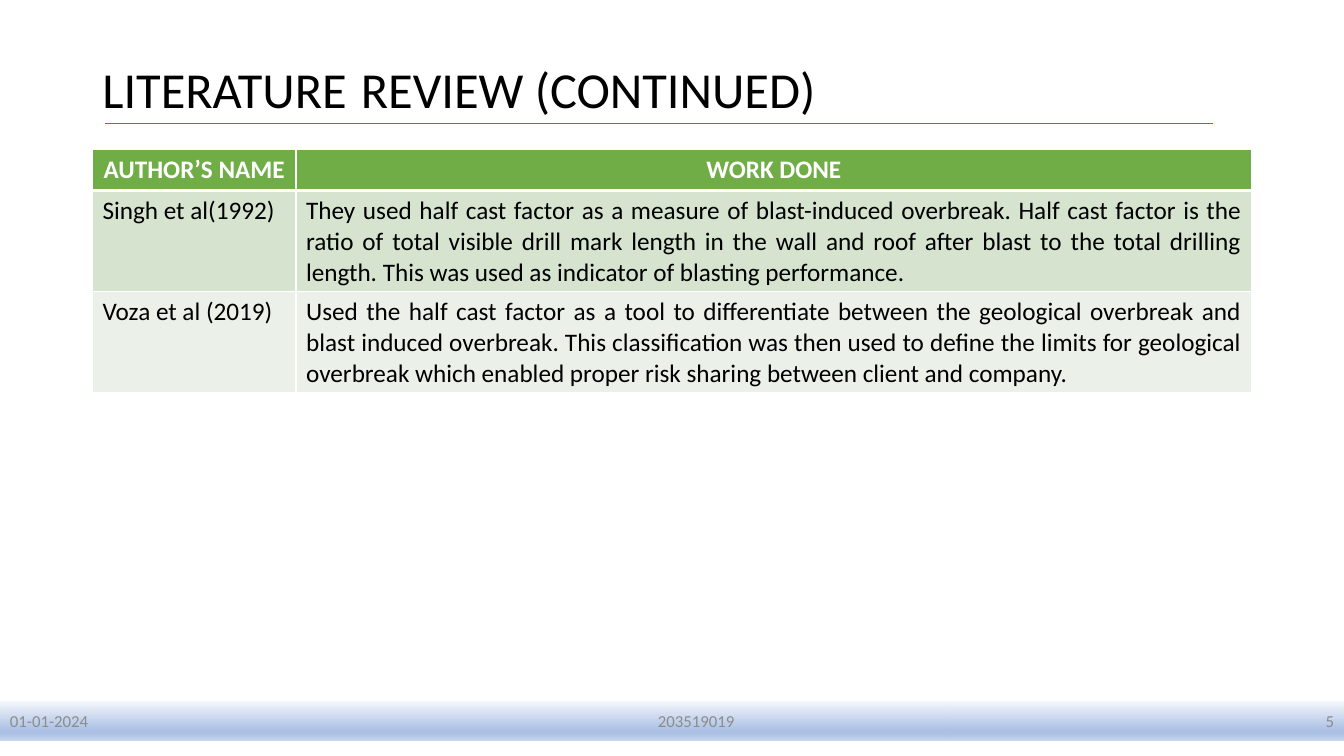
from lxml import etree
from pptx import Presentation, util as u
from pptx.dml.color import RGBColor
from pptx.enum import shapes, text
from pptx.oxml import ns

BLACK = RGBColor(0x00, 0x00, 0x00)
WHITE = RGBColor(0xFF, 0xFF, 0xFF)
GREEN = RGBColor(0x70, 0xAD, 0x47)
BANDS = (RGBColor(0xD5, 0xE3, 0xCF), RGBColor(0xEB, 0xF1, 0xE9))
BLUE = RGBColor(0x44, 0x72, 0xC4)
GREY = RGBColor(0x8C, 0x8C, 0x8C)
FOOTER_STOPS = (
    (0, RGBColor(0xF6, 0xF8, 0xFC)),
    (74, RGBColor(0xAB, 0xC0, 0xE4)),
    (83, RGBColor(0xAB, 0xC0, 0xE4)),
    (100, RGBColor(0xC7, 0xD5, 0xED)),
)
ALIGN = text.PP_ALIGN


class ReviewSlide:
    """Draws styled elements on one slide, with lengths in percent of its size."""

    font = "Calibri"

    def __init__(self, deck):
        self.deck = deck
        self.slide = deck.slides.add_slide(deck.slide_layouts[6])
        self.shapes = self.slide.shapes

    def x(self, percent):
        return u.Emu(round(self.deck.slide_width * percent / 100))

    def y(self, percent):
        return u.Emu(round(self.deck.slide_height * percent / 100))

    def box(self, left, top, width, height):
        return self.x(left), self.y(top), self.x(width), self.y(height)

    def style(self, run, size, color, bold=False):
        run.font.name = self.font
        run.font.size = u.Pt(size)
        run.font.bold = bold
        run.font.color.rgb = color

    def put_words(self, frame, words, size, color, align, bold=False):
        frame.text = words
        paragraph = frame.paragraphs[0]
        paragraph.alignment = align
        self.style(paragraph.runs[0], size, color, bold)

    def add_color(self, parent, color):
        solid = etree.SubElement(parent, ns.qn("a:srgbClr"))
        solid.set("val", str(color))

    def title(self, parts, *place):
        frame = self.shapes.add_textbox(*self.box(*place)).text_frame
        frame.word_wrap = True
        frame.vertical_anchor = text.MSO_ANCHOR.MIDDLE
        heading = frame.paragraphs[0]
        heading.line_spacing = 0.9
        for words, size in parts:
            run = heading.add_run()
            run.text = words
            self.style(run, size, BLACK)

    def rule(self, left, right, top):
        underline = self.shapes.add_connector(
            shapes.MSO_CONNECTOR.STRAIGHT,
            self.x(left), self.y(top), self.x(right), self.y(top))
        underline.line.color.rgb = BLUE
        underline.line.width = u.Pt(0.5)
        etree.SubElement(underline._element.spPr, ns.qn("a:effectLst"))

    def borders(self, cell, bottom):
        properties = cell._tc.get_or_add_tcPr()
        for side, width in (("L", 1), ("R", 1), ("T", 1), ("B", bottom)):
            edge = etree.SubElement(properties, ns.qn(f"a:ln{side}"))
            edge.set("w", str(u.Pt(width)))
            self.add_color(etree.SubElement(edge, ns.qn("a:solidFill")), WHITE)

    def table(self, rows, left, top, widths, heights):
        place = self.box(left, top, sum(widths), sum(heights))
        works = self.shapes.add_table(len(rows), len(widths), *place).table
        for column, width in zip(works.columns, widths):
            column.width = self.x(width)
        for row, height in zip(works.rows, heights):
            row.height = self.y(height)
        for r, entries in enumerate(rows):
            header = r == 0
            for c, words in enumerate(entries):
                cell = works.cell(r, c)
                self.borders(cell, 3 if header else 1)
                cell.fill.solid()
                cell.fill.fore_color.rgb = GREEN if header else BANDS[r - 1]
                align = ALIGN.CENTER if header else (ALIGN.LEFT, ALIGN.JUSTIFY)[c]
                self.put_words(cell.text_frame, words, 18,
                               WHITE if header else BLACK, align, header)

    def footer(self, words, align, left, right, top, height):
        band = self.shapes.add_shape(
            shapes.MSO_SHAPE.RECTANGLE, *self.box(left, top, right - left, height))
        band.shadow.inherit = False
        band.line.fill.background()
        band.fill.gradient()
        band.fill.gradient_angle = 270
        stops = band._element.spPr.find(f".//{ns.qn('a:gsLst')}")
        for stop in list(stops):
            stops.remove(stop)
        for position, color in FOOTER_STOPS:
            stop = etree.SubElement(stops, ns.qn("a:gs"))
            stop.set("pos", str(position * 1000))
            self.add_color(stop, color)
        band.text_frame.vertical_anchor = text.MSO_ANCHOR.MIDDLE
        self.put_words(band.text_frame, words, 12, GREY, align)


def main():
    deck = Presentation()
    deck.slide_width, deck.slide_height = u.Inches(13.33), u.Inches(7.5)
    review = ReviewSlide(deck)

    review.title((("LITERATURE", 36), (" ", 44), ("REVIEW (CONTINUED)", 36)),
                 6.88, 2, 86.25, 19.33)
    review.table(
        (
            ("AUTHOR’S NAME", "WORK DONE"),
            ("Singh et al(1992)",
             "They used half cast factor as a measure of blast-induced overbreak. "
             "Half cast factor is the ratio of total visible drill mark length in "
             "the wall and roof after blast to the total drilling length. This was "
             "used as indicator of blasting performance."),
            ("Voza et al (2019)",
             "Used the half cast factor as a tool to differentiate between the "
             "geological overbreak and blast induced overbreak. This classification "
             "was then used to define the limits for geological overbreak which "
             "enabled proper risk sharing between client and company."),
        ),
        6.88, 19.8, (15.15, 71.1), (5.4, 13.4, 13.4))
    review.rule(7.8, 90.25, 16.3)

    edges = (0, 32.95, 70.65, 100)
    notes = (("01-01-2024", ALIGN.LEFT), ("203519019", ALIGN.CENTER), ("5", ALIGN.RIGHT))
    for (words, align), left, right in zip(notes, edges, edges[1:]):
        review.footer(words, align, left, right, 92.67, 5.33)

    deck.save("out.pptx")


if __name__ == "__main__":
    main()
